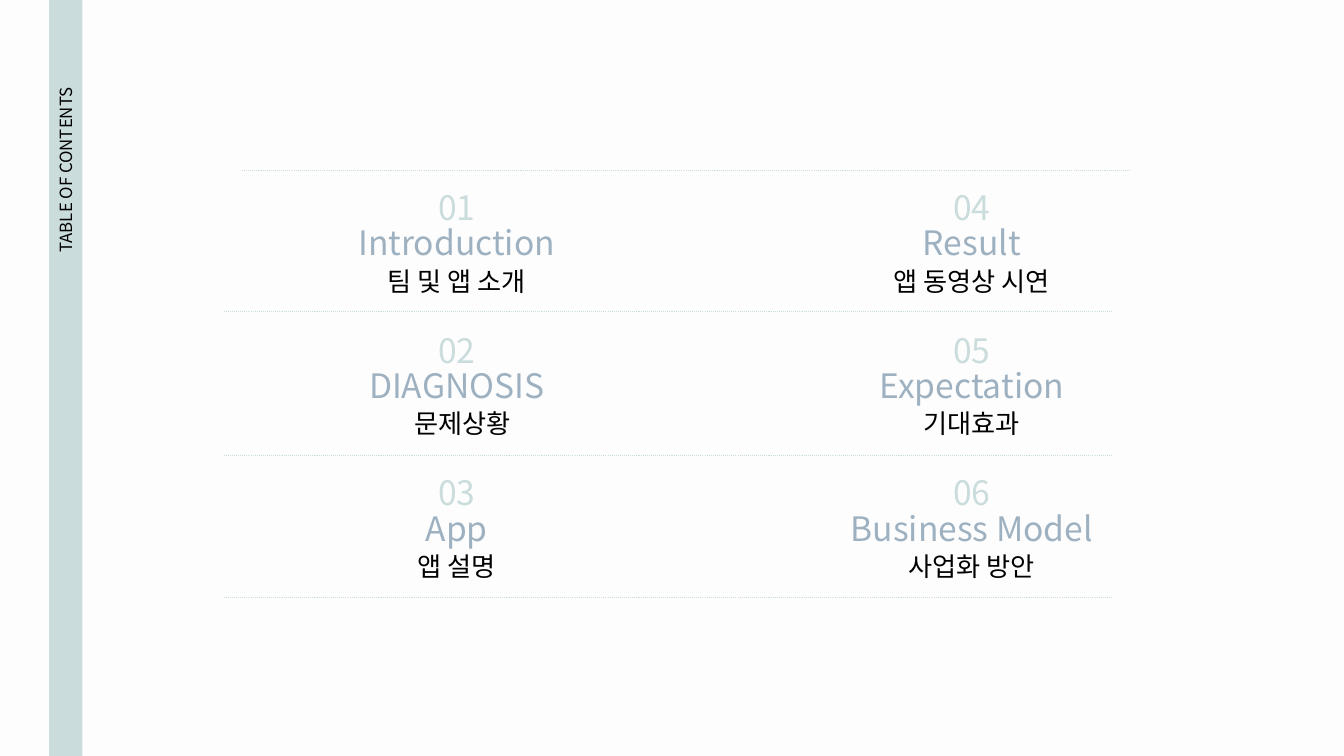
from dataclasses import dataclass

import lxml.etree
import pptx
import pptx.dml.color
import pptx.enum.dml
import pptx.enum.shapes
import pptx.enum.text
import pptx.oxml.ns
import pptx.util
from pptx.util import Pt

Align = pptx.enum.text.PP_ALIGN
Anchor = pptx.enum.text.MSO_ANCHOR
Color = pptx.dml.color.RGBColor


@dataclass(frozen=True)
class TextStyle:
    size: float
    color: Color
    anchor: Anchor
    align: Align = Align.CENTER
    line_spacing: float = 1.0
    space_after: float = 0


@dataclass(frozen=True)
class Theme:
    font: str = "Noto Sans CJK KR"
    background: Color = Color(0xFD, 0xFD, 0xFD)
    mint: Color = Color(0xCA, 0xDC, 0xDC)
    blue: Color = Color(0x9E, 0xB1, 0xC1)
    black: Color = Color(0, 0, 0)
    heading_size: float = 24
    subtitle_size: float = 18.7
    side_title_size: float = 12
    inset: float = 9.6


@dataclass(frozen=True)
class Layer:
    """One text line of an entry, placed relative to the row's top."""
    offset: float
    width: float
    height: float
    style: TextStyle


@dataclass(frozen=True)
class Entry:
    heading: str
    subtitle: str
    subtitle_shift: float = 0


@dataclass(frozen=True)
class Divider:
    left: float
    top: float


THEME = Theme()
SLIDE_WIDTH, SLIDE_HEIGHT = 960, 540
SIDE_TITLE = TextStyle(THEME.side_title_size, THEME.black, Anchor.MIDDLE, Align.RIGHT)
NUMBER = Layer(0, 59, 37.4, TextStyle(THEME.heading_size, THEME.mint, Anchor.BOTTOM))
HEADING = Layer(21.6, 337.7, 33.8, TextStyle(THEME.heading_size, THEME.blue, Anchor.MIDDLE))
SUBTITLE = Layer(41.8, 302.4, 33.8, TextStyle(
    THEME.subtitle_size, THEME.black, Anchor.TOP, line_spacing=1.15, space_after=21.3))

COLUMN_CENTERS = (326.2, 694.1)
FIRST_ROW_TOP, ROW_PITCH, ROWS = 134.6, 101.9, 3
ENTRIES = (
    Entry("Introduction", "팀 및 앱 소개"),
    Entry("DIAGNOSIS", "문제상황", subtitle_shift=4),
    Entry("App", "앱 설명"),
    Entry("Result", "앱 동영상 시연"),
    Entry("Expectation", "기대효과"),
    Entry("Business Model", "사업화 방안"),
)
DIVIDER_WIDTH = 635
DIVIDERS = (Divider(172.8, 121.7), Divider(159.8, 222.5),
            Divider(159.8, 325.4), Divider(159.8, 427))


def write_text(shape: pptx.shapes.base.BaseShape, text: str, style: TextStyle) -> None:
    frame = shape.text_frame
    frame.text = text
    frame.word_wrap = True
    frame.auto_size = pptx.enum.text.MSO_AUTO_SIZE.NONE
    frame.vertical_anchor = style.anchor
    frame.margin_left = frame.margin_right = Pt(THEME.inset)
    frame.margin_top = frame.margin_bottom = Pt(THEME.inset)
    paragraph = frame.paragraphs[0]
    paragraph.alignment = style.align
    paragraph.line_spacing = style.line_spacing
    paragraph.space_after = Pt(style.space_after)
    font = paragraph.font
    font.size = Pt(style.size)
    font.color.rgb = style.color
    font.name = THEME.font
    # Korean glyphs take the East Asian typeface, which sits beside a:latin.
    latin = paragraph._p.find(".//" + pptx.oxml.ns.qn("a:latin"))
    east_asian = lxml.etree.Element(pptx.oxml.ns.qn("a:ea"), typeface=THEME.font)
    latin.addnext(east_asian)


def add_layer(slide: pptx.slide.Slide, layer: Layer, text: str,
              center: float, row_top: float) -> None:
    shape = slide.shapes.add_textbox(
        Pt(center - layer.width / 2), Pt(row_top + layer.offset),
        Pt(layer.width), Pt(layer.height))
    write_text(shape, text, layer.style)


def add_entry(slide: pptx.slide.Slide, index: int, entry: Entry) -> None:
    column, row = divmod(index, ROWS)
    center = COLUMN_CENTERS[column]
    top = FIRST_ROW_TOP + row * ROW_PITCH
    add_layer(slide, SUBTITLE, entry.subtitle, center + entry.subtitle_shift, top)
    add_layer(slide, HEADING, entry.heading, center, top)
    add_layer(slide, NUMBER, f"{index + 1:02}", center, top)


def add_divider(slide: pptx.slide.Slide, divider: Divider) -> None:
    connector = slide.shapes.add_connector(
        pptx.enum.shapes.MSO_CONNECTOR.STRAIGHT, Pt(divider.left), Pt(divider.top),
        Pt(divider.left + DIVIDER_WIDTH), Pt(divider.top))
    connector.line.color.rgb = THEME.mint
    connector.line.width = Pt(0.75)
    connector.line.dash_style = pptx.enum.dml.MSO_LINE.ROUND_DOT
    properties = connector.element.spPr
    lxml.etree.SubElement(properties, pptx.oxml.ns.qn("a:effectLst"))


def add_side_bar(slide: pptx.slide.Slide) -> None:
    """Draw the bar behind the title placeholder."""
    bar = slide.shapes.add_shape(
        pptx.enum.shapes.MSO_SHAPE.RECTANGLE, Pt(35.2), Pt(0), Pt(23.7), Pt(SLIDE_HEIGHT))
    bar.shadow.inherit = False
    bar.fill.solid()
    bar.fill.fore_color.rgb = THEME.mint
    bar.line.fill.background()
    slide.shapes.title.element.addprevious(bar.element)


def place_side_title(slide: pptx.slide.Slide) -> None:
    title = slide.shapes.title
    title.left, title.top = Pt(-178.6), Pt(267.8)
    title.width, title.height = Pt(451.4), Pt(21.6)
    title.rotation = 270
    write_text(title, "TABLE OF CONTENTS", SIDE_TITLE)


def main() -> None:
    presentation = pptx.Presentation()
    presentation.slide_width = Pt(SLIDE_WIDTH)
    presentation.slide_height = Pt(SLIDE_HEIGHT)
    title_only = presentation.slide_layouts.get_by_name("Title Only")
    slide = presentation.slides.add_slide(title_only)
    slide.background.fill.solid()
    slide.background.fill.fore_color.rgb = THEME.background
    add_side_bar(slide)
    place_side_title(slide)
    for index, entry in enumerate(ENTRIES):
        add_entry(slide, index, entry)
    for divider in DIVIDERS:
        add_divider(slide, divider)
    presentation.save("out.pptx")


if __name__ == "__main__":
    main()
